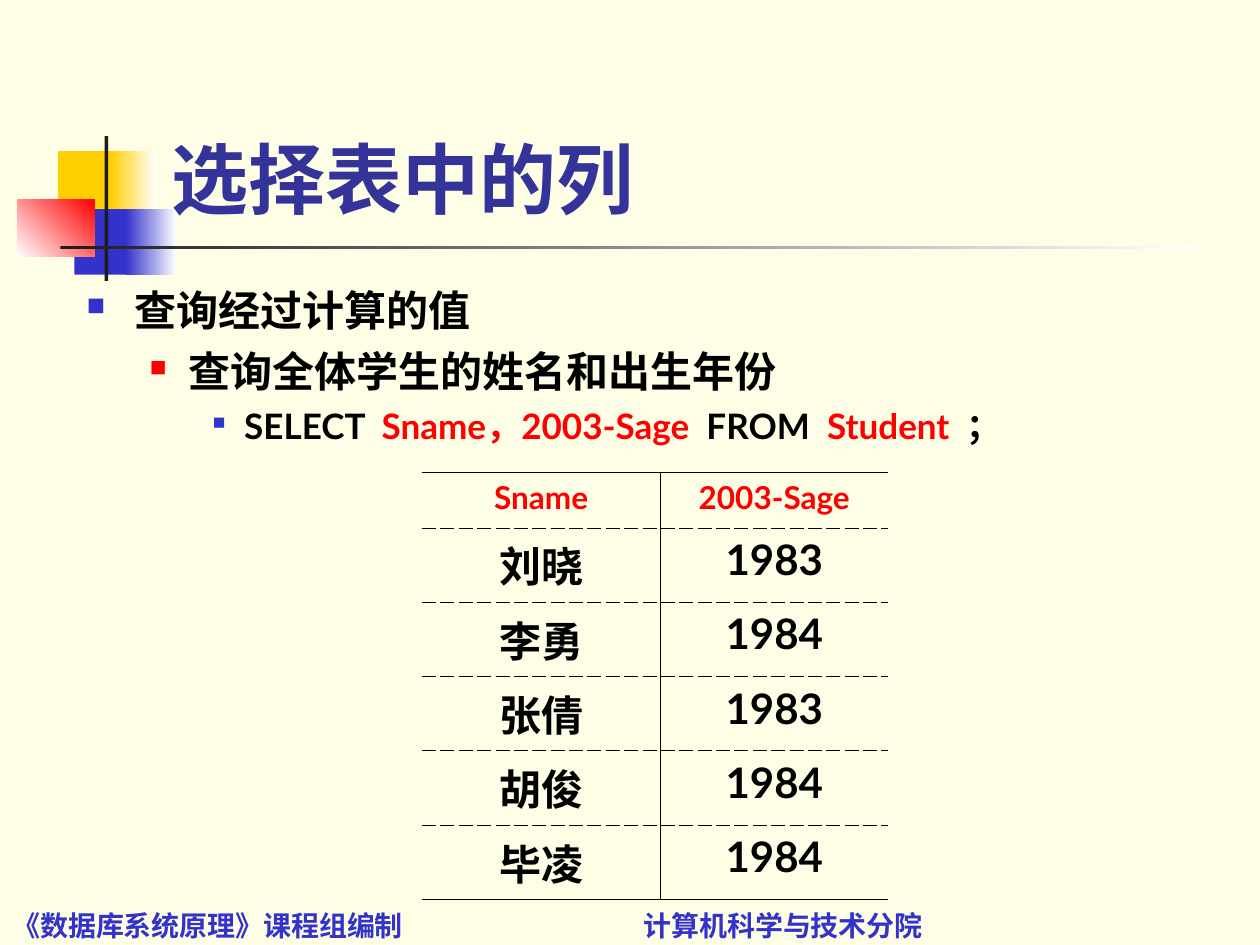
from dataclasses import dataclass
from typing import Optional

from lxml.etree import SubElement
from pptx import Presentation
from pptx.dml.color import RGBColor
from pptx.enum.shapes import MSO_SHAPE as Shape
from pptx.enum.text import MSO_ANCHOR as Anchor, MSO_AUTO_SIZE as AutoSize, PP_ALIGN as Align
from pptx.oxml import parse_xml
from pptx.oxml.ns import nsdecls, qn
from pptx.util import Inches, Pt

CREAM = RGBColor(0xFE, 0xFE, 0xE6)
YELLOW = RGBColor(0xFF, 0xCF, 0x01)
BLUE = RGBColor(0x33, 0x33, 0xCC)
NAVY = RGBColor(0x33, 0x33, 0x99)
RED = RGBColor(0xFF, 0x00, 0x00)
CHARCOAL = RGBColor(0x1C, 0x1C, 0x1C)
WHITE = RGBColor(0xFF, 0xFF, 0xFF)
BLACK = RGBColor(0x00, 0x00, 0x00)
LATIN_FONT = "Lato"
CJK_FONT = "Noto Sans CJK SC"


@dataclass
class Block:
    left: float
    top: float
    width: float
    height: float
    color: RGBColor
    end_color: Optional[RGBColor] = None
    angle: float = 0


@dataclass
class Bullet:
    runs: list[tuple[str, RGBColor]]
    size: float
    margin: float
    hang: float
    color: RGBColor
    percent: int
    space_before: float = 0


BLOCKS = [
    Block(0.46, 1.2, 0.48, 0.52, YELLOW),
    Block(0.88, 1.2, 0.36, 0.52, YELLOW, WHITE),
    Block(0.59, 1.66, 0.46, 0.52, BLUE),
    Block(1, 1.66, 0.4, 0.52, BLUE, WHITE),
    Block(0.14, 1.58, 0.61, 0.46, WHITE, RED, 45),
    Block(0.83, 1.08, 0.03, 1.15, CHARCOAL),
    Block(0.48, 1.95, 9, 0.03, CHARCOAL, WHITE),
]
BULLETS = [
    Bullet([("查询经过计算的值", BLACK)], 24, 0.38, 0.38, BLUE, 60),
    Bullet([("查询全体学生的姓名和出生年份", BLACK)], 24, 0.81, 0.31, RED, 55, 6),
    Bullet(
        [
            ("SELECT  ", BLACK),
            ("Sname，2003-Sage", RED),
            ("  FROM  ", BLACK),
            ("Student  ", RED),
            ("；", BLACK),
        ],
        20, 1.25, 0.25, BLUE, 50, 5,
    ),
]
ROWS = [
    ("Sname", "2003-Sage"),
    ("刘晓", "1983"),
    ("李勇", "1984"),
    ("张倩", "1983"),
    ("胡俊", "1984"),
    ("毕凌", "1984"),
]
COLUMN_WIDTHS = [1.89, 1.81]
HEADER_HEIGHT, ROW_HEIGHT = 0.44, 0.59


def add_text(paragraph, text: str, *, size: float, color: RGBColor,
             font: str = LATIN_FONT, align=Align.LEFT) -> None:
    paragraph.alignment = align
    run = paragraph.add_run()
    run.text = text
    run.font.size = Pt(size)
    run.font.name = font
    run.font.bold = True
    run.font.color.rgb = color
    east_asian = SubElement(run.font._element, qn("a:ea"))
    east_asian.set("typeface", CJK_FONT)


def draw_block(slide, block: Block) -> None:
    shape = slide.shapes.add_shape(
        Shape.RECTANGLE, Inches(block.left), Inches(block.top),
        Inches(block.width), Inches(block.height))
    shape.shadow.inherit = False
    shape.line.fill.background()
    if block.end_color is None:
        shape.fill.solid()
        shape.fill.fore_color.rgb = block.color
        return
    shape.fill.gradient()
    shape.fill.gradient_angle = block.angle
    for stop, color in zip(shape.fill.gradient_stops, (block.color, block.end_color)):
        stop.color.rgb = color


def draw_footer(slide) -> None:
    footer = slide.shapes.add_textbox(Inches(0), Inches(7.29), Inches(10), Inches(0.24))
    frame = footer.text_frame
    frame.word_wrap = True
    frame.vertical_anchor = Anchor.BOTTOM
    paragraph = frame.paragraphs[0]
    tabs = SubElement(paragraph._p.get_or_add_pPr(), qn("a:tabLst"))
    SubElement(tabs, qn("a:tab"), pos=str(Inches(5.01)), algn="l")
    add_text(paragraph, "《数据库系统原理》课程组编制\t计算机科学与技术分院",
             size=16, color=BLUE, font=CJK_FONT)


def draw_title(slide) -> None:
    title = slide.shapes.title
    slide.shapes._spTree.append(title._element)
    title.left, title.top = Inches(1.26), Inches(0.23)
    title.width, title.height = Inches(8.52), Inches(1.6)
    title.text_frame.vertical_anchor = Anchor.BOTTOM
    title.text_frame.auto_size = AutoSize.NONE
    add_text(title.text_frame.paragraphs[0], "选择表中的列", size=44, color=NAVY)


def draw_bullets(slide, bullets: list[Bullet]) -> None:
    body = slide.shapes.add_textbox(Inches(0.59), Inches(2.21), Inches(9.2), Inches(4.85))
    frame = body.text_frame
    frame.word_wrap = True
    for level, bullet in enumerate(bullets):
        paragraph = frame.add_paragraph() if level else frame.paragraphs[0]
        paragraph.level = level
        properties = paragraph._p.get_or_add_pPr()
        properties.set("marL", str(Inches(bullet.margin)))
        properties.set("indent", str(-Inches(bullet.hang)))
        color = SubElement(properties, qn("a:buClr"))
        SubElement(color, qn("a:srgbClr"), val=str(bullet.color))
        SubElement(properties, qn("a:buSzPct"), val=str(bullet.percent * 1000))
        SubElement(properties, qn("a:buChar"), char="■")
        if level:
            paragraph.space_before = Pt(bullet.space_before)
        for text, text_color in bullet.runs:
            add_text(paragraph, text, size=bullet.size, color=text_color)


def set_borders(cell, row: int, column: int) -> None:
    last_row, last_column = len(ROWS) - 1, len(COLUMN_WIDTHS) - 1
    borders = [
        ("lnL", 0.45 if column else 0, "solid"),
        ("lnR", 0.45 if column < last_column else 0, "solid"),
        ("lnT", 0.45 if row else 1.08, "dash" if row else "solid"),
        ("lnB", 0.45, "dash" if row < last_row else "solid"),
    ]
    properties = cell._tc.get_or_add_tcPr()
    for index, (side, width, dash) in enumerate(borders):
        fill = f'<a:solidFill><a:srgbClr val="{BLACK}"/></a:solidFill>' if width else "<a:noFill/>"
        properties.insert(index, parse_xml(
            f'<a:{side} {nsdecls("a")} w="{Pt(width)}">{fill}'
            f'<a:prstDash val="{dash}"/></a:{side}>'))


def draw_table(slide) -> None:
    heights = [HEADER_HEIGHT] + [ROW_HEIGHT] * (len(ROWS) - 1)
    table = slide.shapes.add_table(
        len(ROWS), len(COLUMN_WIDTHS), Inches(3.35), Inches(3.75),
        Inches(sum(COLUMN_WIDTHS)), Inches(sum(heights))).table
    table.first_row = table.horz_banding = False
    for column, width in zip(table.columns, COLUMN_WIDTHS):
        column.width = Inches(width)
    for row, (values, height) in enumerate(zip(ROWS, heights)):
        table.rows[row].height = Inches(height)
        for column, value in enumerate(values):
            cell = table.cell(row, column)
            cell.fill.background()
            set_borders(cell, row, column)
            add_text(cell.text_frame.paragraphs[0], value, size=24 if row else 18,
                     color=BLACK if row else RED, align=Align.CENTER)


def main() -> None:
    presentation = Presentation()
    presentation.slide_width, presentation.slide_height = Inches(10), Inches(7.5)
    slide = presentation.slides.add_slide(presentation.slide_layouts[5])
    slide.background.fill.solid()
    slide.background.fill.fore_color.rgb = CREAM
    for block in BLOCKS:
        draw_block(slide, block)
    draw_footer(slide)
    draw_title(slide)
    draw_bullets(slide, BULLETS)
    draw_table(slide)
    presentation.save("out.pptx")


if __name__ == "__main__":
    main()
